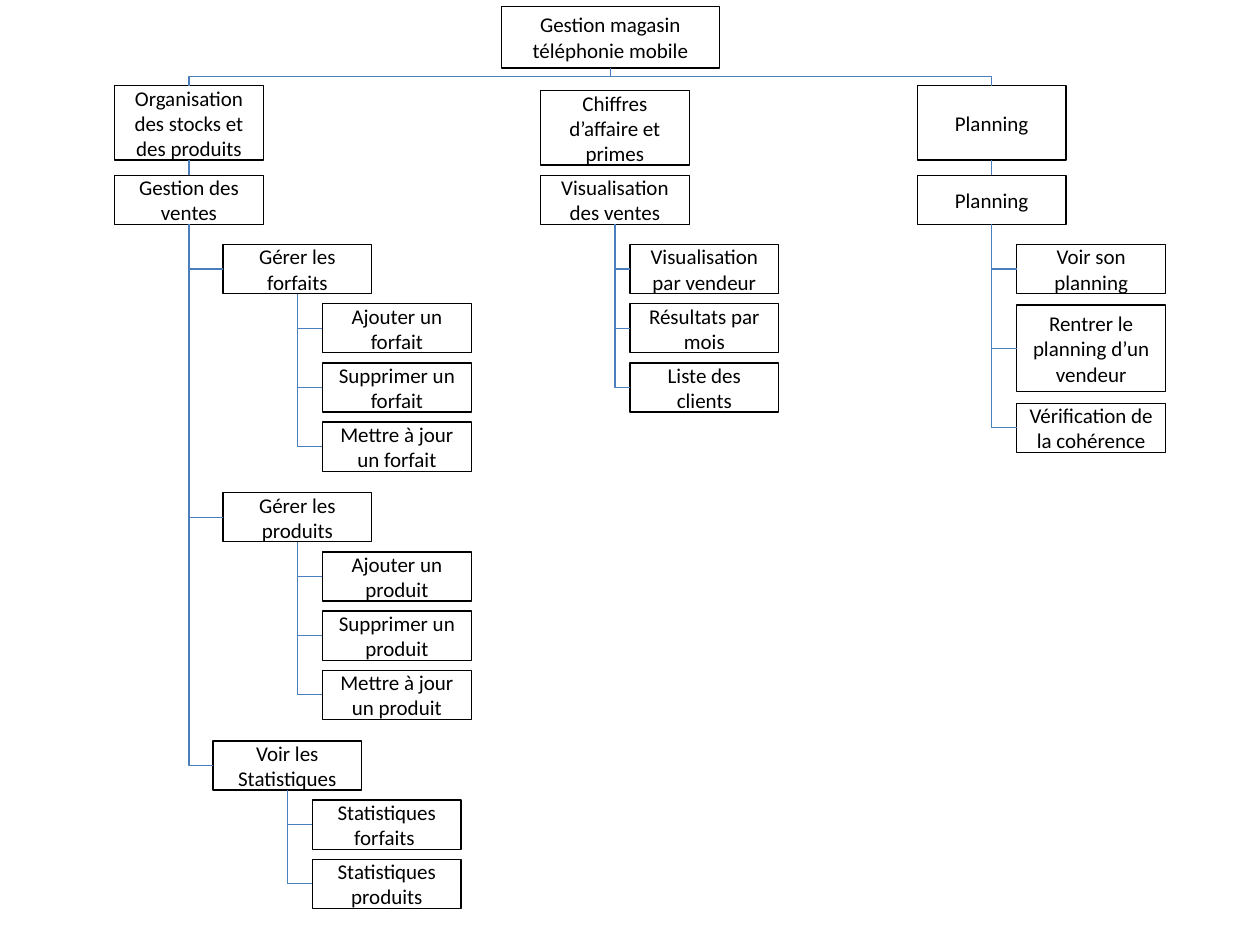
from lxml import etree
from pptx import Presentation
from pptx.dml.color import RGBColor
from pptx.enum.shapes import MSO_CONNECTOR, MSO_SHAPE
from pptx.enum.text import MSO_ANCHOR, PP_ALIGN
from pptx.oxml.ns import qn
from pptx.util import Inches, Pt

RECTANGLE = MSO_SHAPE.RECTANGLE
STRAIGHT, ELBOW = MSO_CONNECTOR.STRAIGHT, MSO_CONNECTOR.ELBOW
CENTER, MIDDLE = PP_ALIGN.CENTER, MSO_ANCHOR.MIDDLE
TOP_SITE, LEFT_SITE, BOTTOM_SITE = 0, 1, 2
BLANK_LAYOUT = 6

BLACK, WHITE, LINK_BLUE = "000000", "FFFFFF", "4B7EBC"
BOX_W, BOX_H, HEADING_H = 1.18, 0.39, 0.59
SECTION_TOP, FIRST_TOP = 1.39, 1.94
LEAF_GAP, BRANCH_PITCH, LEAF_INDENT = 0.08, 1.97, 0.79


def color(hex_value):
    """Turn a hex string into a colour."""
    return RGBColor.from_string(hex_value)


def write(frame, text, size=12, font="Calibri", ink=BLACK, align=CENTER, anchor=MIDDLE):
    """Put formatted text in a text frame."""
    frame.word_wrap = True
    frame.vertical_anchor = anchor
    paragraph = frame.paragraphs[0]
    paragraph.alignment = align
    run = paragraph.add_run()
    run.text = text
    run.font.size = Pt(size)
    run.font.name = font
    run.font.color.rgb = color(ink)


def add_box(slide, text, left, top, width=BOX_W, height=BOX_H):
    """Draw one outlined box of the chart."""
    box = slide.shapes.add_shape(
        RECTANGLE, Inches(left), Inches(top), Inches(width), Inches(height))
    box.shadow.inherit = False
    box.fill.solid()
    box.fill.fore_color.rgb = color(WHITE)
    box.line.color.rgb = color(BLACK)
    box.line.width = Pt(0.75)
    write(box.text_frame, text)
    return box


def add_link(slide, kind, start, start_site, end, end_site):
    """Join two boxes with a thin blue connector glued at both ends."""
    link = slide.shapes.add_connector(kind, 0, 0, 0, 0)
    link.begin_connect(start, start_site)
    link.end_connect(end, end_site)
    link.line.color.rgb = color(LINK_BLUE)
    link.line.width = Pt(0.75)
    etree.SubElement(link._element.spPr, qn("a:effectLst"))
    return link


def turn_elbow(link, preset, angle, flip_h, flip_v):
    """Turn an elbow on its side, keeping the ends where they are."""
    left, top, width, height = link.left, link.top, link.width, link.height
    link.left = left + (width - height) // 2
    link.top = top + (height - width) // 2
    link.width, link.height = height, width
    properties = link._element.spPr
    properties.find(qn("a:prstGeom")).set("prst", preset)
    frame = properties.find(qn("a:xfrm"))
    frame.set("rot", str(angle * 60000))
    frame.set("flipH", str(int(flip_h)))
    frame.set("flipV", str(int(flip_v)))


def link_child(slide, parent, child):
    """Run from the bottom of a parent to the left side of its child."""
    link = add_link(slide, ELBOW, parent, BOTTOM_SITE, child, LEFT_SITE)
    turn_elbow(link, "bentConnector2", 270, True, False)


def link_root(slide, root, heading):
    """Run from the top of a heading to the bottom of the root."""
    link = add_link(slide, ELBOW, heading, TOP_SITE, root, BOTTOM_SITE)
    on_left = heading.left < root.left
    turn_elbow(link, "bentConnector3", 90 if on_left else 270, on_left, True)


def add_stack(slide, parent, left, top, items, gap=LEAF_GAP):
    """Stack (text, height) boxes downwards and hang them on the parent."""
    for text, height in items:
        child = add_box(slide, text, left, top, height=height)
        link_child(slide, parent, child)
        top += height + gap


def add_column(slide, left, heading_top, heading_text, section_text, joined=True):
    """Draw a heading and the section below it."""
    heading = add_box(slide, heading_text, left, heading_top, height=HEADING_H)
    section = add_box(slide, section_text, left, SECTION_TOP)
    if joined:
        add_link(slide, STRAIGHT, heading, BOTTOM_SITE, section, TOP_SITE)
    return heading, section


def add_branches(slide, section, branches):
    """Draw evenly spaced branches, each with its own leaves."""
    for index, (left, text, leaves) in enumerate(branches):
        top = FIRST_TOP + index * BRANCH_PITCH
        branch = add_box(slide, text, left, top)
        link_child(slide, section, branch)
        add_stack(slide, branch, left + LEAF_INDENT, top + BOX_H + LEAF_GAP,
                  [(leaf, BOX_H) for leaf in leaves])


def build_chart(slide):
    """Draw the whole breakdown of the shop management system."""
    root = add_box(slide, "Gestion magasin téléphonie mobile", 3.98, 0.05, 1.73, 0.49)

    stock, sales = add_column(
        slide, 0.91, 0.68, "Organisation des stocks et des produits", "Gestion des ventes")
    add_branches(slide, sales, [
        (1.77, "Gérer les forfaits",
         ["Ajouter un forfait", "Supprimer un forfait", "Mettre à jour un forfait"]),
        (1.77, "Gérer les produits",
         ["Ajouter un produit", "Supprimer un produit", "Mettre à jour un produit"]),
        (1.69, "Voir les Statistiques",
         ["Statistiques forfaits ", "Statistiques produits"]),
    ])

    _, results = add_column(
        slide, 4.29, 0.72, "Chiffres d’affaire et primes", "Visualisation des ventes",
        joined=False)
    add_stack(slide, results, 5, FIRST_TOP, [
        ("Visualisation par vendeur", BOX_H),
        ("Résultats par mois", BOX_H),
        ("Liste des clients", BOX_H),
    ])

    planning, schedule = add_column(slide, 7.28, 0.68, "Planning", "Planning")
    add_stack(slide, schedule, 8.07, FIRST_TOP, [
        ("Voir son planning", BOX_H),
        ("Rentrer le planning d’un vendeur", 0.69),
        ("Vérification de la cohérence", BOX_H),
    ], gap=0.09)

    for heading in (stock, planning):
        link_root(slide, root, heading)


def main():
    """Create the presentation and save it."""
    deck = Presentation()
    deck.slide_width, deck.slide_height = Inches(10), Inches(7.5)
    build_chart(deck.slides.add_slide(deck.slide_layouts[BLANK_LAYOUT]))
    deck.save("out.pptx")


main()
